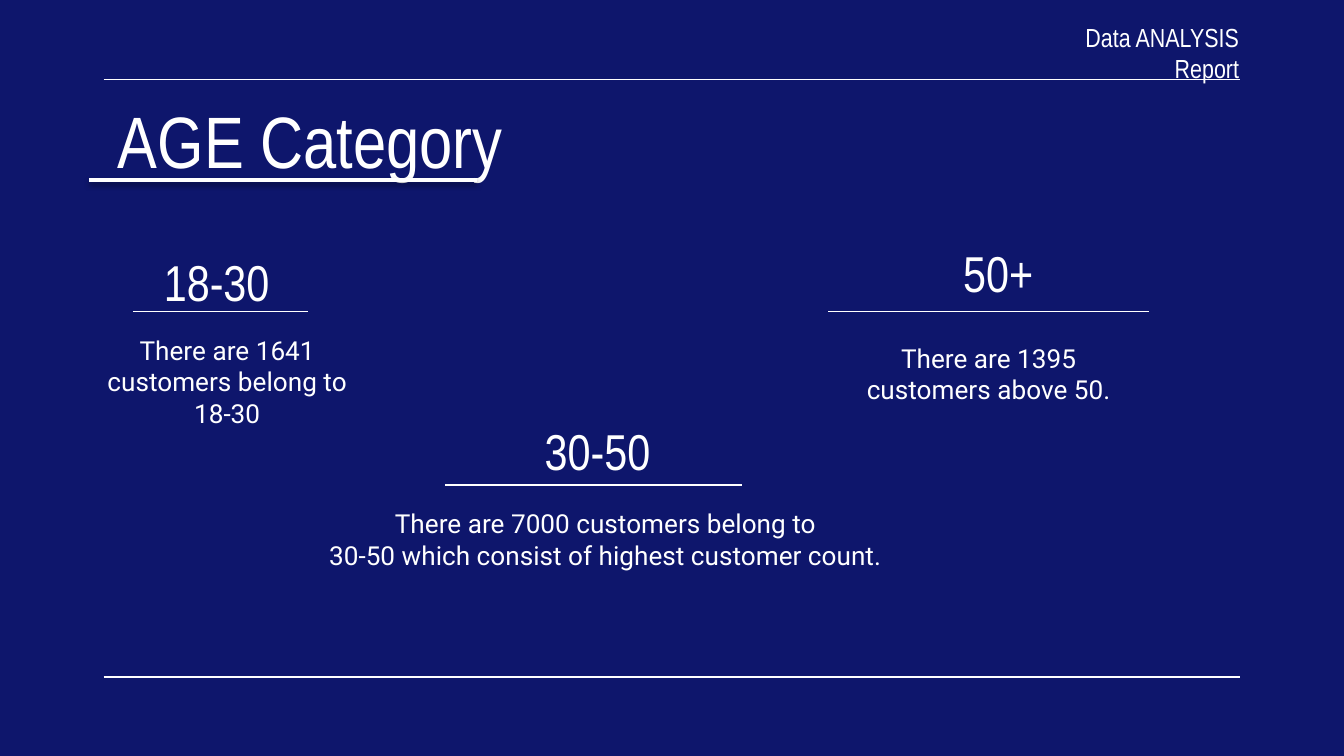
from dataclasses import dataclass

from lxml.etree import SubElement
from pptx import Presentation
from pptx.dml.color import RGBColor
from pptx.enum.shapes import MSO_CONNECTOR
from pptx.enum.text import MSO_ANCHOR, MSO_AUTO_SIZE, PP_ALIGN
from pptx.oxml.ns import qn
from pptx.util import Cm, Pt


@dataclass(frozen=True)
class Theme:
    background: RGBColor = RGBColor(0x0E, 0x16, 0x6C)
    ink: RGBColor = RGBColor(0xFF, 0xFF, 0xFF)
    shadow: str = "000000"
    heading_font: str = "Arial Narrow"
    body_font: str = "Roboto"
    title_size: int = 39
    group_size: int = 27
    body_size: int = 14
    thin: float = 0.75
    thick: float = 2


THEME = Theme()

# Content: boxes are (left, top, width, height), rules are (left, right, y), in cm
REPORT = ("Data ANALYSIS Report", (19.61, 0.58, 3.81, 0.84))
TITLE = ("AGE Category", (1.98, 1.55, 21.44, 1.68))
TITLE_RULE = (1.68, 9.02, 3.4)
FRAME_RULES = [(1.96, 23.44, 1.5), (1.96, 23.44, 12.8)]
AGE_GROUPS = [
    {
        "name": "18-30",
        "name_box": (1.68, 4.5, 4.83, 1.04),
        "rule": (2.51, 5.82, 5.89),
        "summary": ["There are 1641 customers belong to", "18-30"],
        "summary_box": (1.22, 6.07, 6.15, 2.08),
    },
    {
        "name": "30-50",
        "name_box": (8.41, 7.7, 5.77, 1.73),
        "rule": (8.41, 14.02, 9.17),
        "summary": ["There are 7000 customers belong to",
                    "30-50 which consist of highest customer count."],
        "summary_box": (4.17, 9.35, 14.55, 2.69),
    },
    {
        "name": "50+",
        "name_box": (16.81, 4.32, 4.11, 1.57),
        "rule": (15.65, 21.72, 5.89),
        "summary": ["There are 1395 customers above 50."],
        "summary_box": (15.65, 6.22, 6.07, 1.65),
    },
]


def set_all(target, values):
    for name, value in values.items():
        setattr(target, name, value)


def write(holder, lines, font, size, align=PP_ALIGN.CENTER,
          anchor=MSO_ANCHOR.TOP, right_margin=0.25):
    frame = holder.text_frame
    frame.text = "\n".join(lines)
    set_all(frame, {
        "word_wrap": True, "auto_size": MSO_AUTO_SIZE.NONE,
        "vertical_anchor": anchor,
        "margin_left": Cm(0.25), "margin_top": Cm(0.25),
        "margin_right": Cm(right_margin), "margin_bottom": Cm(0.25),
    })
    for paragraph in frame.paragraphs:
        paragraph.alignment = align
        set_all(paragraph.font, {"name": font, "size": Pt(size)})
        paragraph.font.color.rgb = THEME.ink


def add_text(slide, box, lines, font, size, **layout):
    holder = slide.shapes.add_textbox(*map(Cm, box))
    write(holder, lines, font, size, **layout)


def add_rule(slide, rule, width=THEME.thin):
    left, right, y = rule
    line = slide.shapes.add_connector(
        MSO_CONNECTOR.STRAIGHT, Cm(left), Cm(y), Cm(right), Cm(y))
    line.line.color.rgb = THEME.ink
    line.line.width = Pt(width)
    return SubElement(line._element.spPr, qn("a:effectLst"))


def add_shadow(effects):
    shadow = SubElement(effects, qn("a:outerShdw"), blurRad=str(Pt(3.1)),
                        dist=str(Pt(1.6)), dir="5400000", rotWithShape="0")
    color = SubElement(shadow, qn("a:srgbClr"), val=THEME.shadow)
    SubElement(color, qn("a:alpha"), val="38000")


def main():
    deck = Presentation()
    set_all(deck, {"slide_width": Cm(25.4), "slide_height": Cm(14.29)})
    slide = deck.slides.add_slide(deck.slide_layouts[5])
    slide.background.fill.solid()
    slide.background.fill.fore_color.rgb = THEME.background

    # Frame lines
    for rule in FRAME_RULES:
        add_rule(slide, rule)

    # Title
    text, box = TITLE
    title = slide.shapes.title
    set_all(title, dict(zip(("left", "top", "width", "height"), map(Cm, box))))
    write(title, [text], THEME.heading_font, THEME.title_size,
          align=PP_ALIGN.LEFT)

    # Age groups
    for group in AGE_GROUPS:
        add_text(slide, group["name_box"], [group["name"]],
                 THEME.heading_font, THEME.group_size)
        add_text(slide, group["summary_box"], group["summary"],
                 THEME.body_font, THEME.body_size)
        add_rule(slide, group["rule"])

    # Report name in the corner
    text, box = REPORT
    add_text(slide, box, [text], THEME.heading_font, THEME.body_size,
             align=PP_ALIGN.RIGHT, anchor=MSO_ANCHOR.MIDDLE, right_margin=0)

    # Title underline
    add_shadow(add_rule(slide, TITLE_RULE, THEME.thick))

    deck.save("out.pptx")


if __name__ == "__main__":
    main()
